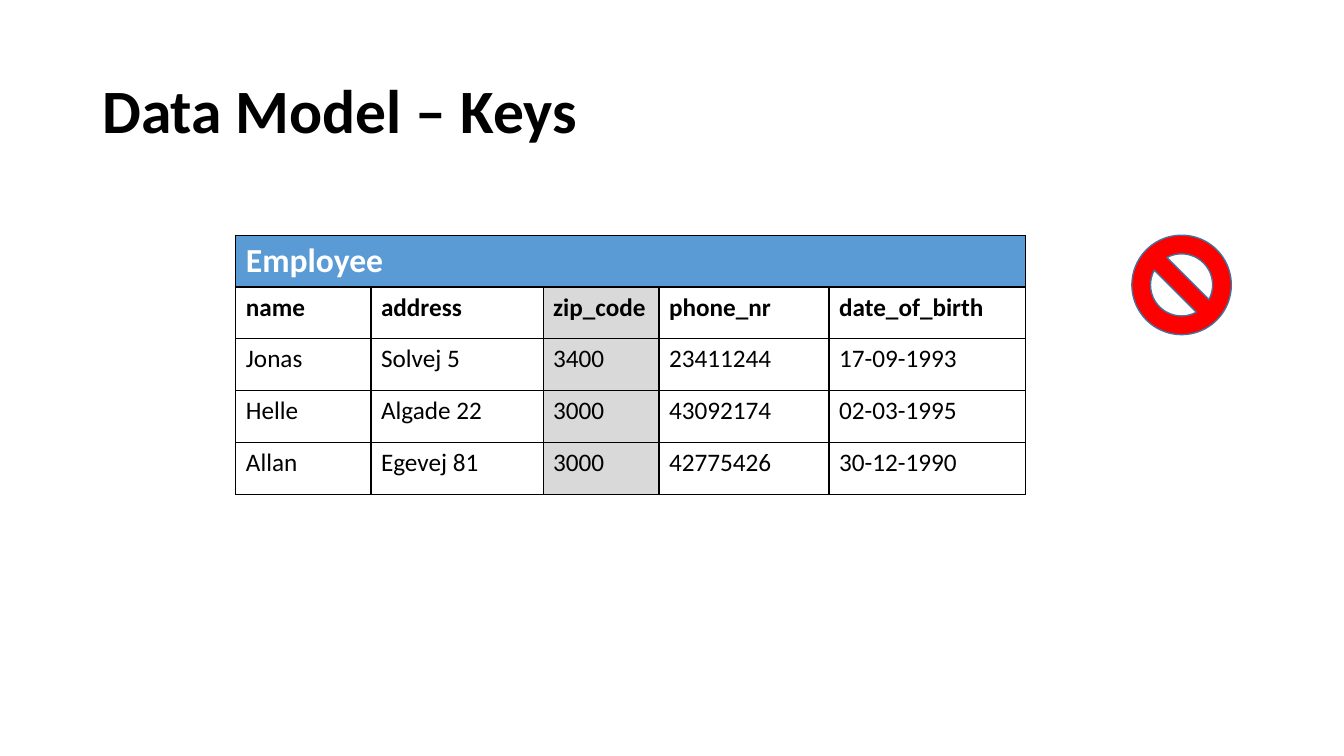
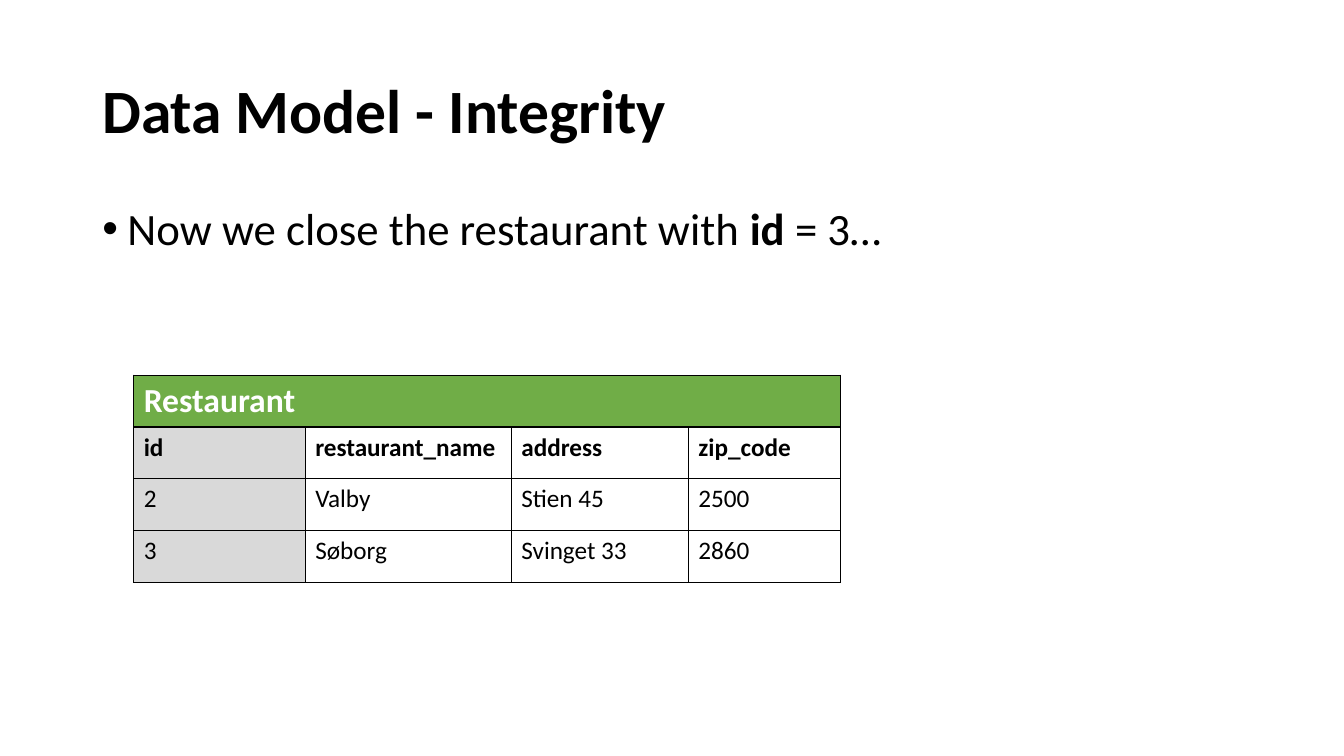
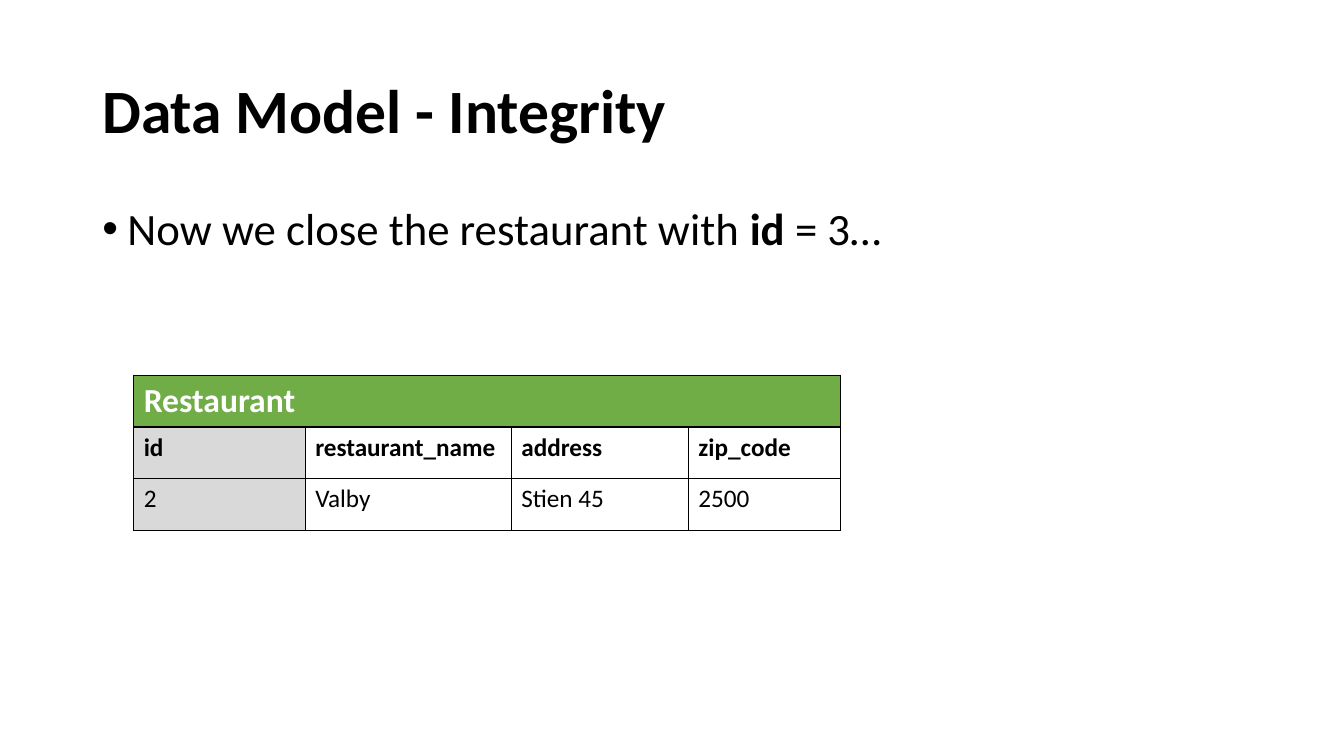
from pptx import Presentation
from pptx.dml.color import RGBColor
from pptx.enum.shapes import MSO_SHAPE
from pptx.enum.text import MSO_ANCHOR
from pptx.oxml import parse_xml
from pptx.oxml.ns import nsdecls
from pptx.util import Pt

MIDDLE = MSO_ANCHOR.MIDDLE
BAN = MSO_SHAPE.NO_SYMBOL

THEME = {
    "font": "Calibri",
    "black": "000000",
    "white": "FFFFFF",
    "blue": "5B9BD5",
    "green": "70AD47",
    "grey": "D9D9D9",
    "red": "FF0000",
    "navy": "43739E",
    "title": {"size": Pt(44), "bold": True},
    "body": {"size": Pt(32), "bold": False},
    "strong": {"size": Pt(32), "bold": True},
    "band": {"size": Pt(24), "bold": True},
    "head": {"size": Pt(18), "bold": True},
    "cell": {"size": Pt(18), "bold": False},
}
ROW = 37

STAFF = {
    "name": "Employee", "fill": "blue", "key": "zip_code",
    "left": 168.5, "top": 168, "cols": [96.5, 123, 82.75, 121.5, 140.5],
    "rows": [
        ["name", "address", "zip_code", "phone_nr", "date_of_birth"],
        ["Jonas", "Solvej 5", "3400", "23411244", "17-09-1993"],
        ["Helle", "Algade 22", "3000", "43092174", "02-03-1995"],
        ["Allan", "Egevej 81", "3000", "42775426", "30-12-1990"],
    ],
}
FOOD = {
    "name": "Restaurant", "fill": "green", "key": "id",
    "left": 95.5, "top": 268, "cols": [122.5, 147.25, 126.5, 108.5],
    "rows": [
        ["id", "restaurant_name", "address", "zip_code"],
        ["2", "Valby", "Stien 45", "2500"],
        ["3", "Søborg", "Svinget 33", "2860"],
    ],
}
LEFT = {**FOOD, "rows": FOOD["rows"][:-1]}
CLOSE = [("Now we close the restaurant with ", "body"),
         ("id ", "strong"), ("= 3…", "body")]

SLIDES = [
    ("Data Model – Keys", None, STAFF),
    ("Data Model - Integrity", CLOSE, FOOD),
    ("Data Model - Integrity", CLOSE, LEFT),
]


def tint(name):
    return RGBColor.from_string(THEME[name])


def write(para, text, look, color="black"):
    """Add a run in the named type style."""
    run = para.add_run()
    run.text = text
    for key, value in {"name": THEME["font"], **THEME[look]}.items():
        setattr(run.font, key, value)
    run.font.color.rgb = tint(color)


deck = Presentation()
deck.slide_width, deck.slide_height = Pt(960), Pt(540)

for title, point, data in SLIDES:
    slide = deck.slides.add_slide(deck.slide_layouts[6])
    shapes = slide.shapes

    frame = shapes.add_textbox(Pt(66), Pt(28.75), Pt(828), Pt(104.5)).text_frame
    frame.word_wrap = True
    frame.vertical_anchor = MIDDLE
    frame.paragraphs[0].line_spacing = 0.9
    write(frame.paragraphs[0], title, "title")

    if point:
        frame = shapes.add_textbox(Pt(66), Pt(144), Pt(828), Pt(96)).text_frame
        frame.word_wrap = True
        para = frame.paragraphs[0]
        para.line_spacing = 0.9
        props = para._p.get_or_add_pPr()
        props.set("marL", str(Pt(18)))
        props.set("indent", str(-Pt(18)))
        props.append(parse_xml(f'<a:buFont {nsdecls("a")} typeface="Arial"/>'))
        props.append(parse_xml(f'<a:buChar {nsdecls("a")} char="•"/>'))
        for text, look in point:
            write(para, text, look)

    cols, rows = data["cols"], data["rows"]
    grid = [[data["name"]] + [""] * (len(cols) - 1)] + rows
    table = shapes.add_table(
        len(grid), len(cols), Pt(data["left"]), Pt(data["top"]),
        Pt(sum(cols)), Pt(ROW * len(grid))).table
    table.first_row = table.horz_banding = False
    for col, width in zip(table.columns, cols):
        col.width = Pt(width)
    table.cell(0, 0).merge(table.cell(0, len(cols) - 1))

    key = rows[0].index(data["key"])
    for r, line in enumerate(grid):
        table.rows[r].height = Pt(ROW)
        look = ("band", "head")[r] if r < 2 else "cell"
        for c, text in enumerate(line):
            cell = table.cell(r, c)
            props = cell._tc.get_or_add_tcPr()
            for side in "LRTB":
                props.append(parse_xml(
                    f'<a:ln{side} {nsdecls("a")} w="{Pt(1)}"><a:solidFill>'
                    f'<a:srgbClr val="{THEME["black"]}"/>'
                    f'</a:solidFill></a:ln{side}>'))
            if r == 0 or c == key:
                cell.fill.solid()
                cell.fill.fore_color.rgb = tint("grey" if r else data["fill"])
            else:
                cell.fill.background()
            if text:
                write(cell.text_frame.paragraphs[0], text, look,
                      "black" if r else "white")

    if data is STAFF:
        ban = shapes.add_shape(BAN, Pt(808.5), Pt(168), Pt(71), Pt(71))
        ban.shadow.inherit = False
        ban.fill.solid()
        ban.fill.fore_color.rgb = tint("red")
        ban.line.color.rgb = tint("navy")
        ban.line.width = Pt(1)

deck.save("out.pptx")
